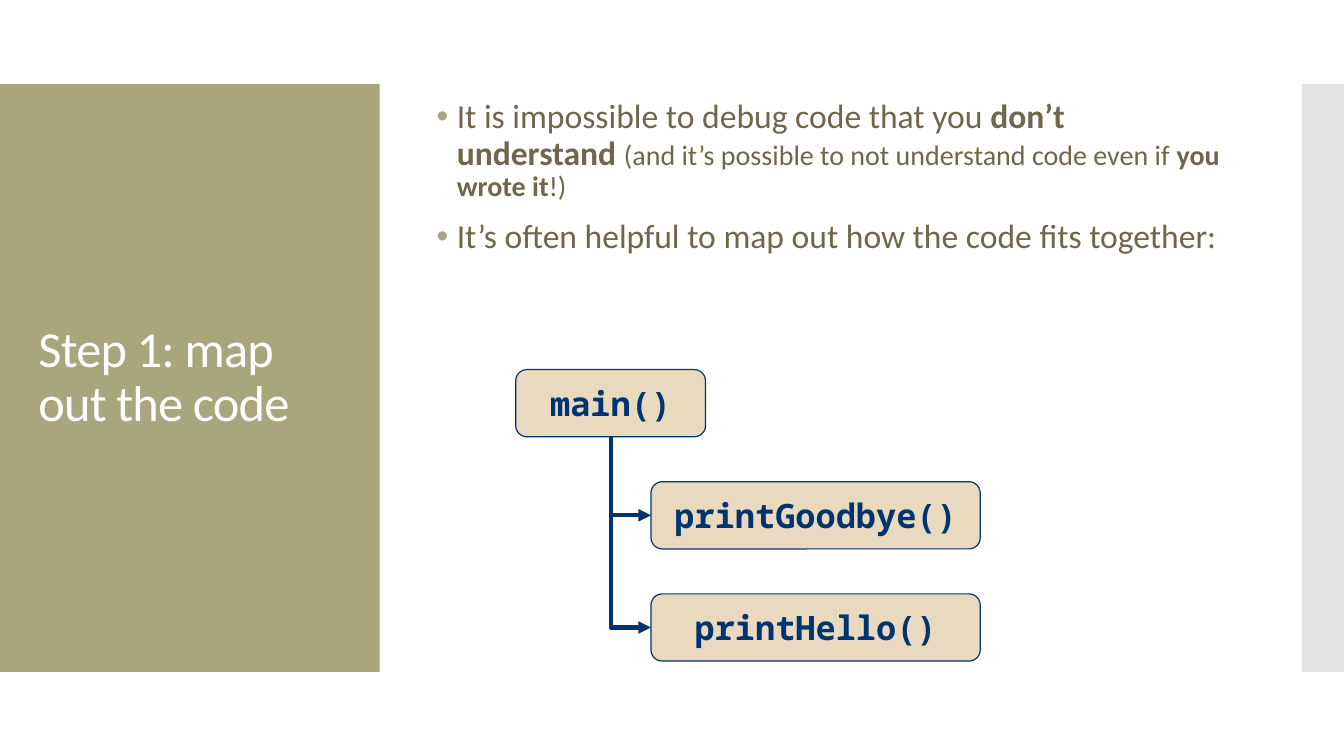
import pptx
import pptx.util
import pptx.dml.color
import pptx.enum.shapes
import pptx.enum.text
import pptx.oxml.ns
import lxml.etree

RGBColor = pptx.dml.color.RGBColor
SHAPE = pptx.enum.shapes.MSO_SHAPE
SAGE = RGBColor(0xA9, 0xA5, 0x7C)
GREY = RGBColor(0xE3, 0xE3, 0xE3)
WHITE = RGBColor(0xFF, 0xFF, 0xFF)
BROWN = RGBColor(0x6F, 0x66, 0x4C)
SAND = RGBColor(0xE9, 0xD9, 0xBE)
NAVY = RGBColor(0x00, 0x34, 0x70)
COLS, ROWS = 160, 90
BULLETS = [
    [("It is impossible to debug code that you ", 24, False),
     ("don’t understand ", 24, True),
     ("(and it’s possible to not understand code even if ", 20, False),
     ("you wrote it", 20, True),
     ("!)", 20, False)],
    [("It’s often helpful to map out how the code fits together:", 24, False)],
]


def grid(*cells):
    """Turn grid cells, twelve to the inch, into lengths."""
    return [pptx.util.Inches(c / 12) for c in cells]


def add_run(p, text, size, color, bold=False, font="Calibri"):
    """Add one formatted run to a paragraph."""
    r = p.add_run()
    r.text = text
    r.font.size = pptx.util.Pt(size)
    r.font.name = font
    r.font.bold = bold
    r.font.color.rgb = color
    return r


def add_block(s, kind, box, fill, line=None):
    """Draw a filled shape, outlined if a line colour is given."""
    sp = s.shapes.add_shape(kind, *grid(*box))
    sp.shadow.inherit = False
    sp.fill.solid()
    sp.fill.fore_color.rgb = fill
    if line is None:
        sp.line.fill.background()
    else:
        sp.line.color.rgb = line
        sp.line.width = pptx.util.Pt(0.85)
    return sp


def add_text_frame(s, box, anchor):
    """Add a wrapping text box and return its frame."""
    tf = s.shapes.add_textbox(*grid(*box)).text_frame
    tf.word_wrap = True
    tf.vertical_anchor = anchor
    return tf


def add_title_panel(s, box, title):
    """Draw the coloured panel with the title centred vertically in it."""
    x, y, w, h = box
    add_block(s, SHAPE.RECTANGLE, box, SAGE)
    tf = add_text_frame(s, (x + 3.4, y + 4.8, w - 6.6, h - 9.6),
                        pptx.enum.text.MSO_ANCHOR.MIDDLE)
    p = tf.paragraphs[0]
    p.line_spacing = 0.9
    r = add_run(p, title, 36, WHITE)
    r.font._element.set("spc", "-60")


def add_bullet(p):
    """Give a paragraph a coloured bullet and a hanging indent."""
    pPr = p._p.get_or_add_pPr()
    indent = pptx.util.Inches(0.2)
    pPr.set("marL", str(indent))
    pPr.set("indent", str(-indent))
    qn = pptx.oxml.ns.qn
    clr = lxml.etree.SubElement(pPr, qn("a:buClr"))
    lxml.etree.SubElement(clr, qn("a:srgbClr")).set("val", str(SAGE))
    lxml.etree.SubElement(pPr, qn("a:buFont")).set("typeface", "Arial")
    lxml.etree.SubElement(pPr, qn("a:buChar")).set("char", "•")


def add_body(s, box, bullets):
    """Write the bulleted text in the given box."""
    tf = add_text_frame(s, box, pptx.enum.text.MSO_ANCHOR.TOP)
    for i, runs in enumerate(bullets):
        p = tf.paragraphs[0] if i == 0 else tf.add_paragraph()
        add_bullet(p)
        p.line_spacing = 0.9
        if i:
            p.space_before = pptx.util.Pt(12)
        for text, size, bold in runs:
            add_run(p, text, size, BROWN, bold)


def add_function_box(s, box, name):
    """Draw a rounded box holding a function name."""
    sp = add_block(s, SHAPE.ROUNDED_RECTANGLE, box, SAND, NAVY)
    tf = sp.text_frame
    tf.word_wrap = True
    tf.vertical_anchor = pptx.enum.text.MSO_ANCHOR.MIDDLE
    p = tf.paragraphs[0]
    p.alignment = pptx.enum.text.PP_ALIGN.CENTER
    add_run(p, name, 24, NAVY, True, "Noto Sans Mono")


def add_elbow_arrow(s, x1, y1, x2, y2):
    """Draw an arrow that goes down and then right."""
    cx, cy = (x1 + x2) / 2, (y1 + y2) / 2
    dx, dy = (x2 - x1) / 2, (y2 - y1) / 2
    c = s.shapes.add_connector(pptx.enum.shapes.MSO_CONNECTOR.ELBOW,
                               *grid(cx - dy, cy - dx, cx + dy, cy + dx))
    c.line.color.rgb = NAVY
    c.line.width = pptx.util.Pt(3)
    qn = pptx.oxml.ns.qn
    spPr = c._element.spPr
    spPr.find(qn("a:prstGeom")).set("prst", "bentConnector2")
    xfrm = spPr.find(qn("a:xfrm"))
    xfrm.set("rot", str(270 * 60000))
    xfrm.set("flipH", "1")
    tail = lxml.etree.SubElement(spPr.find(qn("a:ln")), qn("a:tailEnd"))
    tail.set("type", "triangle")
    lxml.etree.SubElement(spPr, qn("a:effectLst"))


def add_call_tree(s, box, root, children):
    """Draw a root function with arrows to the functions it calls."""
    x, y, w, h = box
    root_w, child_w, box_h = 22.6, 39.2, 8
    pitch = (h - box_h) / len(children)
    trunk_x, child_x = x + root_w / 2, x + w - child_w
    add_function_box(s, (x, y, root_w, box_h), root)
    start = y + box_h
    for i, name in enumerate(children, 1):
        top = y + i * pitch
        middle = top + box_h / 2
        add_function_box(s, (child_x, top, child_w, box_h), name)
        add_elbow_arrow(s, trunk_x, start, child_x, middle)
        start = middle


def main():
    """Build the slide and save it."""
    prs = pptx.Presentation()
    prs.slide_width, prs.slide_height = grid(COLS, ROWS)
    s = prs.slides.add_slide(prs.slide_layouts[6])
    add_title_panel(s, (0, 10, 45.2, 70), "Step 1: map out the code")
    add_block(s, SHAPE.RECTANGLE, (COLS - 5, 10, 5, 70), GREY)
    add_body(s, (50.8, 11.3, 96, 67.2), BULLETS)
    add_call_tree(s, (61.4, 44, 55.3, 34.7), "main()",
                  ["printGoodbye()", "printHello()"])
    prs.save("out.pptx")


if __name__ == "__main__":
    main()
